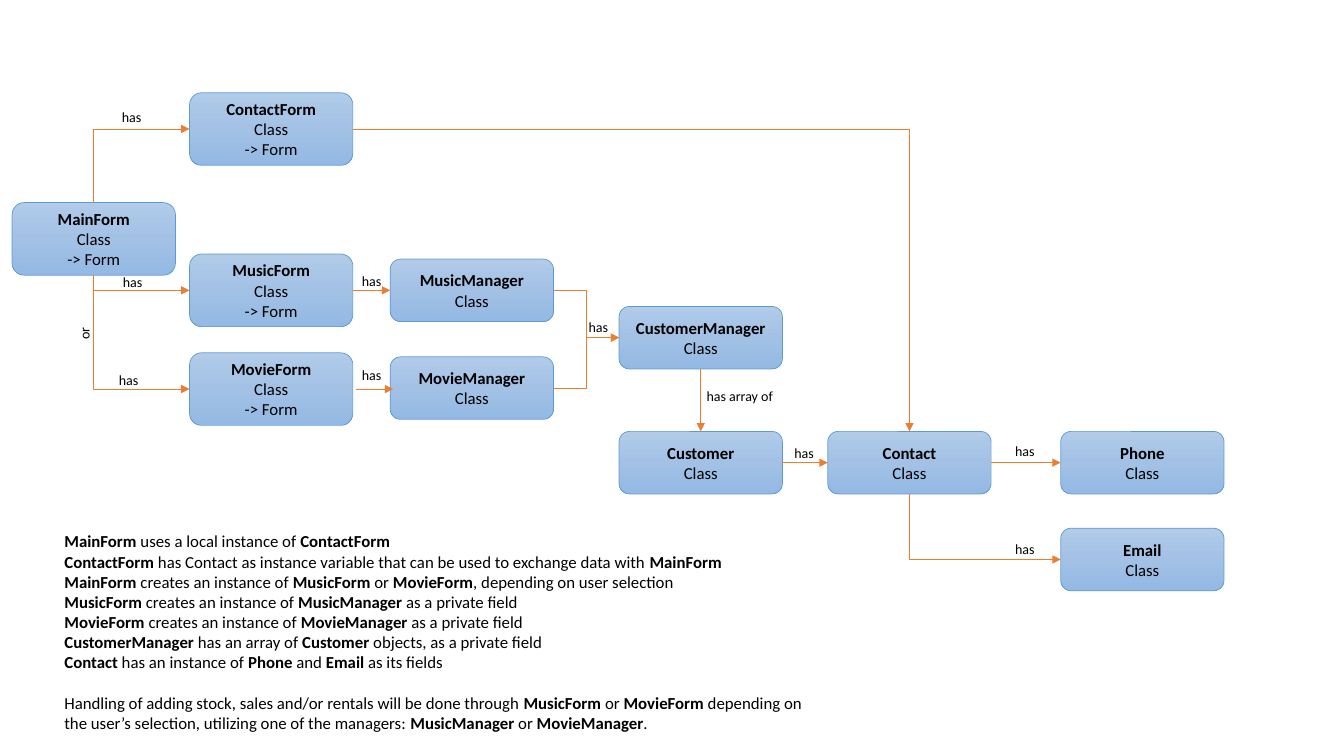
from copy import deepcopy

from lxml.etree import SubElement
from pptx import Presentation
from pptx.dml.color import RGBColor
from pptx.enum.shapes import MSO_CONNECTOR, MSO_SHAPE
from pptx.enum.text import MSO_ANCHOR, MSO_AUTO_SIZE, PP_ALIGN
from pptx.oxml.ns import qn
from pptx.util import Emu, Pt

SCALE = 9144  # 100 px to the inch
WIDTH, TALL, LOW = 162, 72, 62
TOP, LEFT, BOTTOM, RIGHT = range(4)
FADE = [(0, "B1CBE9"), (0.5, "A3C1E5"), (1, "93B9E4")]

# name: left, middle height
FORMS = {
    "MainForm": (12, 237),
    "MusicForm": (188, 288),
    "ContactForm": (188, 128),
    "MovieForm": (188, 386),
}
CLASSES = {
    "MusicManager": (387, 288),
    "MovieManager": (387, 385),
    "CustomerManager": (614, 335),
    "Customer": (614, 459),
    "Contact": (821, 459),
    "Phone": (1052, 459),
    "Email": (1052, 555),
}

# from, side, to, side
STRAIGHT = [
    ("MusicForm", RIGHT, "MusicManager", LEFT),
    ("CustomerManager", BOTTOM, "Customer", TOP),
    ("Customer", RIGHT, "Contact", LEFT),
    ("Contact", RIGHT, "Phone", LEFT),
]
CORNERS = [
    ("MainForm", TOP, "ContactForm", LEFT),
    ("ContactForm", RIGHT, "Contact", TOP),
    ("MainForm", BOTTOM, "MusicForm", LEFT),
    ("MainForm", BOTTOM, "MovieForm", LEFT),
    ("Contact", BOTTOM, "Email", LEFT),
]
STEPS = [
    ("MusicManager", RIGHT, "CustomerManager", LEFT),
    ("MovieManager", RIGHT, "CustomerManager", LEFT),
]

HAS_SPOTS = [(111, 103), (108, 364), (112, 266), (349, 265), (349, 359),
             (574, 311), (997, 434), (997, 531), (778, 436)]

# Names between asterisks are bold
NOTES = [
    "*MainForm* uses a local instance of *ContactForm*",
    "*ContactForm* has Contact as instance variable that can be used to "
    "exchange data with *MainForm*",
    "*MainForm* creates an instance of *MusicForm* or *MovieForm*, "
    "depending on user selection",
    "*MusicForm* creates an instance of *MusicManager* as a private field",
    "*MovieForm* creates an instance of *MovieManager* as a private field",
    "*CustomerManager* has an array of *Customer* objects, as a private field",
    "*Contact* has an instance of *Phone* and *Email* as its fields",
    "Handling of adding stock, sales and/or rentals will be done through "
    "*MusicForm* or *MovieForm* depending on the user’s selection, "
    "utilizing one of the managers: *MusicManager* or *MovieManager*.",
]


def px(count):
    return Emu(count * SCALE)


def tint(code):
    return RGBColor.from_string(code)


def style(run, size, bold=False):
    font = run.font
    font.name, font.size, font.bold = "Calibri", Pt(size), bold
    font.color.rgb = tint("000000")


def shade(fill):
    fill.gradient()
    fill.gradient_angle = 270
    first = fill.gradient_stops[0]._gs
    first.addnext(deepcopy(first))
    for stop, (place, code) in zip(fill.gradient_stops, FADE):
        stop.position = place
        stop.color.rgb = tint(code)


def add_box(slide, name, spot, high, rest):
    left, mid = spot
    box = slide.shapes.add_shape(MSO_SHAPE.ROUNDED_RECTANGLE, px(left),
                                 px(mid - high // 2), px(WIDTH), px(high))
    box.shadow.inherit = False
    shade(box.fill)
    box.line.color.rgb = tint("5B9BD5")
    box.line.width = Pt(0.5)
    frame = box.text_frame
    frame.vertical_anchor = MSO_ANCHOR.MIDDLE
    frame.text = name
    para = frame.paragraphs[0]
    para.text = f"{name}\v{rest}"
    para.alignment = PP_ALIGN.CENTER
    for place, run in enumerate(para.runs):
        style(run, 12, bold=place == 0)
    for gap in para._p.findall(qn("a:br")):
        SubElement(gap, qn("a:rPr"), sz="1200")
    return box


def add_line(slide, kind, ends=(0, 0, 0, 0)):
    line = slide.shapes.add_connector(kind, *map(px, ends))
    line.line.color.rgb = tint("ED7D31")
    line.line.width = Pt(0.5)
    SubElement(line.line._get_or_add_ln(), qn("a:tailEnd"), type="triangle")
    SubElement(line._element.spPr, qn("a:effectLst"))
    return line


def join(slide, boxes, kind, link):
    start, side, goal, edge = link
    line = add_line(slide, kind)
    line.begin_connect(boxes[start], side)
    line.end_connect(boxes[goal], edge)
    return line


def bend(line, side):
    """Give the line one corner; it leaves its box from the given side."""
    props = line._element.spPr
    props.find(qn("a:prstGeom")).set("prst", "bentConnector2")
    if side == RIGHT:
        return
    wide, high = line.width, line.height
    mid_x, mid_y = line.left + wide // 2, line.top + high // 2
    line.left, line.top = Emu(mid_x - high // 2), Emu(mid_y - wide // 2)
    line.width, line.height = high, wide
    rising = side == TOP
    frame = props.find(qn("a:xfrm"))
    frame.set("rot", str((90 if rising else 270) * 60000))
    frame.set("flipH", "1")
    frame.set("flipV", "1" if rising else "0")


def add_label(slide, text, left, top, wide=41):
    label = slide.shapes.add_textbox(px(left), px(top), px(wide), px(27))
    frame = label.text_frame
    frame.word_wrap = False
    frame.auto_size = MSO_AUTO_SIZE.SHAPE_TO_FIT_TEXT
    frame.text = text
    style(frame.paragraphs[0].runs[0], 10)
    return label


def add_notes(slide):
    frame = slide.shapes.add_textbox(px(54), px(522), px(768),
                                     px(212)).text_frame
    frame.word_wrap = True
    frame.auto_size = MSO_AUTO_SIZE.SHAPE_TO_FIT_TEXT
    for place, note in enumerate(NOTES):
        para = frame.add_paragraph() if place else frame.paragraphs[0]
        for part, text in enumerate(note.split("*")):
            if text:
                run = para.add_run()
                run.text = text
                style(run, 12, bold=part % 2 == 1)
    para.space_before = Pt(14.5)


def main():
    deck = Presentation()
    deck.slide_width, deck.slide_height = px(1333), px(750)
    slide = deck.slides.add_slide(deck.slide_layouts[6])

    # Class boxes
    boxes = {}
    for group, high, rest in ((FORMS, TALL, "Class\v-> Form"),
                              (CLASSES, LOW, "Class")):
        for name, spot in group.items():
            boxes[name] = add_box(slide, name, spot, high, rest)

    # Arrows
    for link in CORNERS:
        bend(join(slide, boxes, MSO_CONNECTOR.ELBOW, link), link[1])
    for link in STRAIGHT:
        join(slide, boxes, MSO_CONNECTOR.STRAIGHT, link)
    for link in STEPS:
        join(slide, boxes, MSO_CONNECTOR.ELBOW, link)
    add_line(slide, MSO_CONNECTOR.STRAIGHT, (353, 386, 390, 386))

    # Arrow labels
    for left, top in HAS_SPOTS:
        add_label(slide, "has", left, top)
    add_label(slide, "has array of", 691, 380, 93)
    add_label(slide, "or", 63, 313).rotation = 270

    # Explanation
    add_notes(slide)
    deck.save("out.pptx")


if __name__ == "__main__":
    main()
